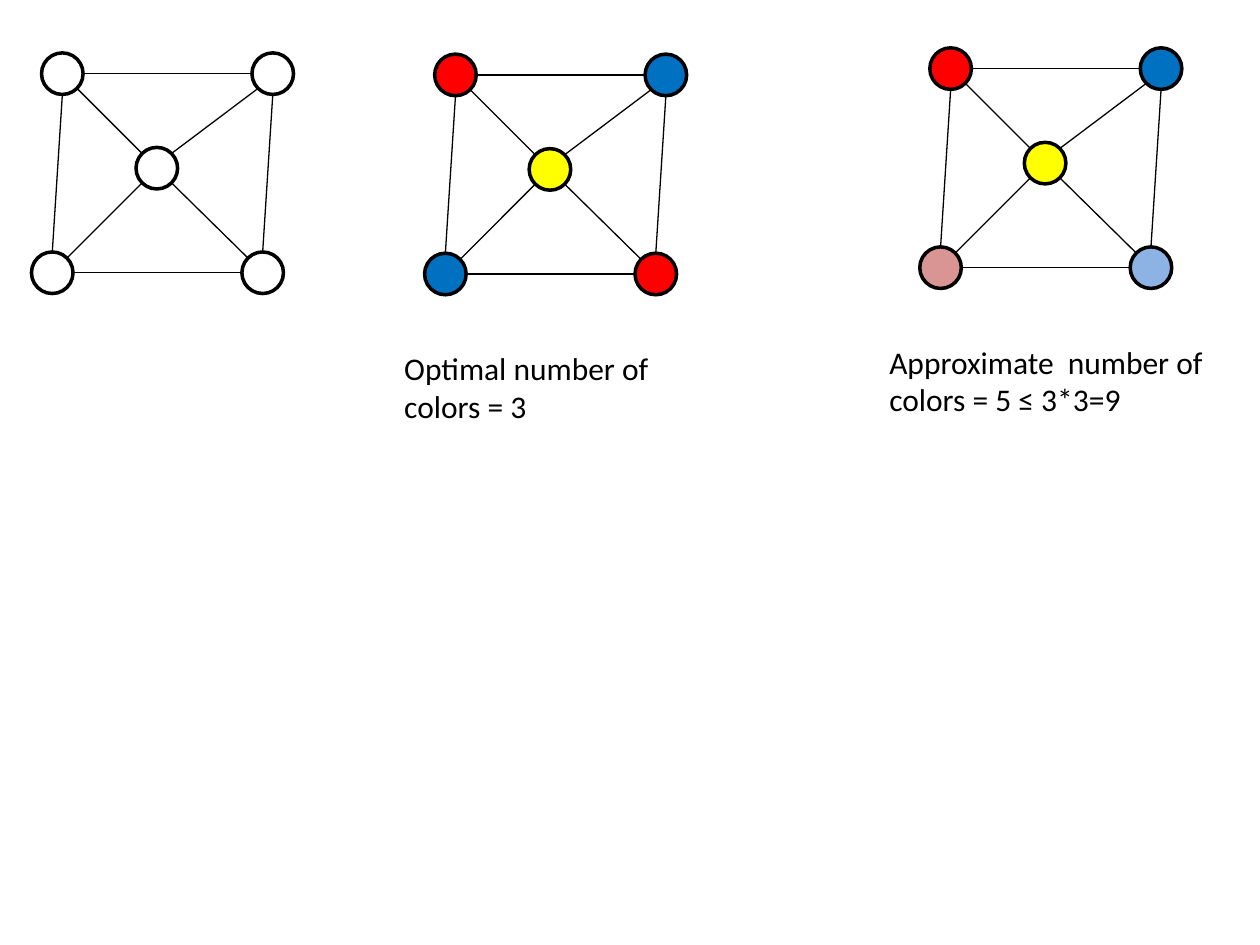
from math import sqrt

from lxml import etree
from pptx import Presentation
from pptx.dml.color import RGBColor
from pptx.enum.shapes import MSO_CONNECTOR, MSO_SHAPE
from pptx.enum.text import MSO_AUTO_SIZE
from pptx.oxml.ns import qn
from pptx.util import Inches, Pt

OVAL = MSO_SHAPE.OVAL
STRAIGHT = MSO_CONNECTOR.STRAIGHT
GROW = MSO_AUTO_SIZE.SHAPE_TO_FIT_TEXT

BLACK = RGBColor(0x00, 0x00, 0x00)
RED = RGBColor(0xFF, 0x00, 0x00)
YELLOW = RGBColor(0xFF, 0xFF, 0x00)
BLUE = RGBColor(0x00, 0x70, 0xC0)
PINK = RGBColor(0xD9, 0x95, 0x93)
LIGHT_BLUE = RGBColor(0x8C, 0xB3, 0xE3)

DIAMETER = 0.33
RADIUS = DIAMETER / 2
DIAGONAL = RADIUS / sqrt(2)

NODES = {
    "top left": (0.08, 0),
    "center": (0.83, 0.75),
    "bottom left": (0, 1.58),
    "top right": (1.75, 0),
    "bottom right": (1.67, 1.58),
}
SIDES = {
    "N": (0, -RADIUS), "S": (0, RADIUS), "W": (-RADIUS, 0), "E": (RADIUS, 0),
    "NW": (-DIAGONAL, -DIAGONAL), "NE": (DIAGONAL, -DIAGONAL),
    "SW": (-DIAGONAL, DIAGONAL), "SE": (DIAGONAL, DIAGONAL),
}
EDGES = [
    ("top left", "SE", "center", "NW"),
    ("top right", "SW", "center", "NE"),
    ("center", "SE", "bottom right", "NW"),
    ("center", "SW", "bottom left", "NE"),
    ("top left", "S", "bottom left", "N"),
    ("top left", "E", "top right", "W"),
    ("top right", "S", "bottom right", "N"),
    ("bottom left", "E", "bottom right", "W"),
]
GRAPHS = [
    ((0.25, 0.42), [None] * 5),
    ((3.37, 0.43), [RED, YELLOW, BLUE, BLUE, RED]),
    ((7.3, 0.38), [RED, YELLOW, PINK, BLUE, LIGHT_BLUE]),
]
CAPTIONS = [
    ("Optimal number of colors = 3", (3.11, 2.72, 2.28, 0.71)),
    ("Approximate  number of colors = 5 ≤ 3*3=9", (6.96, 2.67, 2.83, 0.71)),
]


def add_node(group, left, top, color):
    node = group.shapes.add_shape(
        OVAL, Inches(left), Inches(top), Inches(DIAMETER), Inches(DIAMETER))
    node.shadow.inherit = False
    if color is None:
        node.fill.background()
    else:
        node.fill.solid()
        node.fill.fore_color.rgb = color
    node.line.color.rgb = BLACK
    node.line.width = Pt(2)


def add_edge(group, start, end):
    edge = group.shapes.add_connector(
        STRAIGHT, *(Inches(value) for value in (*start, *end)))
    edge.line.color.rgb = BLACK
    edge.line.width = Pt(0.75)
    etree.SubElement(edge._element.spPr, qn("a:effectLst"))


def add_graph(page, origin, colors):
    group = page.shapes.add_group_shape()
    corners = {name: (origin[0] + x, origin[1] + y) for name, (x, y) in NODES.items()}

    def anchor(name, side):
        return tuple(corner + RADIUS + shift
                     for corner, shift in zip(corners[name], SIDES[side]))

    for (left, top), color in zip(corners.values(), colors):
        add_node(group, left, top, color)
    for first, first_side, second, second_side in EDGES:
        add_edge(group, anchor(first, first_side), anchor(second, second_side))


def add_text(page, text, area, size=18, font="Calibri", color=BLACK):
    box = page.shapes.add_textbox(*(Inches(value) for value in area))
    frame = box.text_frame
    frame.word_wrap = True
    frame.auto_size = GROW
    span = frame.paragraphs[0].add_run()
    span.text = text
    span.font.size = Pt(size)
    span.font.name = font
    span.font.color.rgb = color


def main():
    deck = Presentation()
    deck.slide_width = Inches(10)
    deck.slide_height = Inches(7.5)
    page = deck.slides.add_slide(deck.slide_layouts[6])
    for origin, colors in GRAPHS:
        add_graph(page, origin, colors)
    for text, area in CAPTIONS:
        add_text(page, text, area)
    deck.save("out.pptx")


if __name__ == "__main__":
    main()
